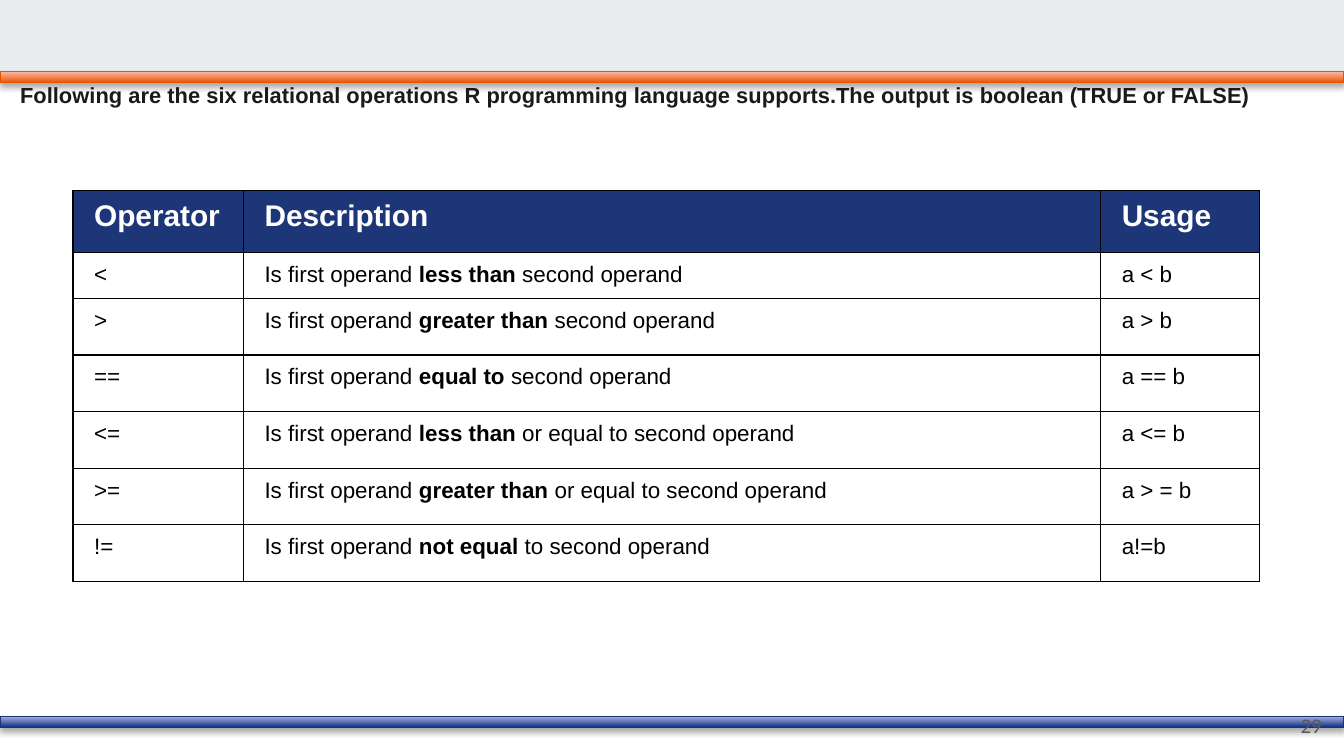
import pptx
import pptx.dml.color
import pptx.enum.shapes
import pptx.enum.text
import pptx.oxml
import pptx.oxml.ns
import pptx.util
from pptx.util import Cm

ALIGN = pptx.enum.text.PP_ALIGN
ANCHOR = pptx.enum.text.MSO_ANCHOR
NS = pptx.oxml.ns.nsdecls("a")

SLIDE_WIDTH, SLIDE_HEIGHT = Cm(25.4), Cm(14.29)
COLUMN_WIDTHS = [3.22, 16.2, 3.0]
ROW_HEIGHTS = [1.17, 0.84] + [1.07] * 5
HEADINGS = ["Operator", "Description", "Usage"]
# operator, emphasised words, rest of the description, usage
OPERATIONS = [
    ("<", "less than", "second operand", "a < b"),
    (">", "greater than", "second operand", "a > b"),
    ("==", "equal to", "second operand", "a == b"),
    ("<=", "less than", "or equal to second operand", "a <= b"),
    (">=", "greater than", "or equal to second operand", "a > = b"),
    ("!=", "not equal", "to second operand", "a!=b"),
]


def rgb(value):
    return pptx.dml.color.RGBColor.from_string(value)


def set_font(font, name, size, color, bold=None):
    font.name = name
    font.size = pptx.util.Pt(size)
    font.color.rgb = rgb(color)
    font.bold = bold


def add_rectangle(slide, top, height):
    """Add a band across the full slide width, without a shadow."""
    band = slide.shapes.add_shape(
        pptx.enum.shapes.MSO_SHAPE.RECTANGLE, 0, top, SLIDE_WIDTH, height)
    band.shadow.inherit = False
    return band


def add_header_band(slide):
    band = add_rectangle(slide, 0, Cm(1.35))
    band.fill.solid()
    band.fill.fore_color.rgb = rgb("E9EDEE")
    band.line.fill.background()


def add_glossy_bar(slide, top, dark, light, outline):
    """Add a thin bar, dark at the bottom, with a soft shadow below."""
    bar = add_rectangle(slide, top, Cm(0.21))
    bar.fill.gradient()
    bar.fill.gradient_angle = 90
    for stop, color in zip(bar.fill.gradient_stops, (dark, light)):
        stop.color.rgb = rgb(color)
    bar.line.color.rgb = rgb(outline)
    bar.line.width = pptx.util.Pt(0.75)
    effects = bar._element.spPr.find(pptx.oxml.ns.qn("a:effectLst"))
    effects.append(pptx.oxml.parse_xml(
        f'<a:outerShdw {NS} blurRad="39370" dist="22860" dir="5400000" rotWithShape="0">'
        '<a:srgbClr val="000000"><a:alpha val="35000"/></a:srgbClr></a:outerShdw>'))


def add_text(slide, left, top, width, height, text, anchor, align):
    """Add a one-paragraph text box and return the paragraph."""
    frame = slide.shapes.add_textbox(left, top, width, height).text_frame
    frame.word_wrap = True
    frame.vertical_anchor = anchor
    frame.margin_left = frame.margin_right = Cm(0.25)
    frame.margin_top = frame.margin_bottom = Cm(0.25)
    paragraph = frame.paragraphs[0]
    paragraph.text = text
    paragraph.alignment = align
    return paragraph


def add_borders(cell):
    properties = cell._tc.get_or_add_tcPr()
    for side in ("lnL", "lnR", "lnT", "lnB"):
        properties.append(pptx.oxml.parse_xml(
            f'<a:{side} {NS} w="9525"><a:solidFill><a:srgbClr val="000000"/>'
            f'</a:solidFill></a:{side}>'))


def fill_cell(cell, parts, size, color, bold=None, background=None):
    """Write the parts into a cell; every second part is bold."""
    add_borders(cell)
    if background:
        cell.fill.solid()
        cell.fill.fore_color.rgb = rgb(background)
    else:
        cell.fill.background()
    cell.margin_left = cell.margin_right = Cm(0.4)
    cell.margin_top = cell.margin_bottom = Cm(0.18)
    paragraph = cell.text_frame.paragraphs[0]
    set_font(paragraph.font, "Arial", size, color, bold)
    for index, part in enumerate(parts):
        run = paragraph.add_run()
        run.text = part
        if index % 2:
            run.font.bold = True


def add_operator_table(slide):
    table = slide.shapes.add_table(
        len(ROW_HEIGHTS), len(COLUMN_WIDTHS), Cm(1.38), Cm(3.6),
        Cm(sum(COLUMN_WIDTHS)), Cm(sum(ROW_HEIGHTS))).table
    table.first_row = table.horz_banding = False
    for column, width in zip(table.columns, COLUMN_WIDTHS):
        column.width = Cm(width)
    for row, height in zip(table.rows, ROW_HEIGHTS):
        row.height = Cm(height)
    for column, heading in enumerate(HEADINGS):
        fill_cell(table.cell(0, column), [heading], 16, "FFFFFF", True, "1C3678")
    for row, (operator, emphasis, rest, usage) in enumerate(OPERATIONS, 1):
        description = ["Is first operand ", emphasis, " " + rest]
        for column, parts in enumerate(([operator], description, [usage])):
            fill_cell(table.cell(row, column), parts, 12, "000000")


def add_title(slide):
    title = add_text(
        slide, Cm(-0.25), Cm(1.04), Cm(24.92), Cm(1.5),
        "Following are the six relational operations R programming language "
        "supports.The output is boolean (TRUE or FALSE) ",
        ANCHOR.TOP, ALIGN.JUSTIFY)
    title._p.get_or_add_pPr().set("marL", str(Cm(0.38)))
    title.line_spacing = 1.5
    set_font(title.font, "Arial", 11.7, "1A1A1A", True)


def add_page_number(slide):
    number = add_text(slide, Cm(23.72), Cm(13.18), Cm(1.52), Cm(1.09),
                      "29", ANCHOR.MIDDLE, ALIGN.RIGHT)
    set_font(number.font, "Lato", 10, "595959")


def main():
    presentation = pptx.Presentation()
    presentation.slide_width, presentation.slide_height = SLIDE_WIDTH, SLIDE_HEIGHT
    slide = presentation.slides.add_slide(presentation.slide_layouts[6])
    add_header_band(slide)
    add_glossy_bar(slide, Cm(1.35), "EB5600", "FFBCB3", "E65400")
    add_glossy_bar(slide, Cm(13.54), "0E3086", "ADB3DB", "193478")
    add_title(slide)
    add_operator_table(slide)
    add_page_number(slide)
    presentation.save("out.pptx")


if __name__ == "__main__":
    main()
